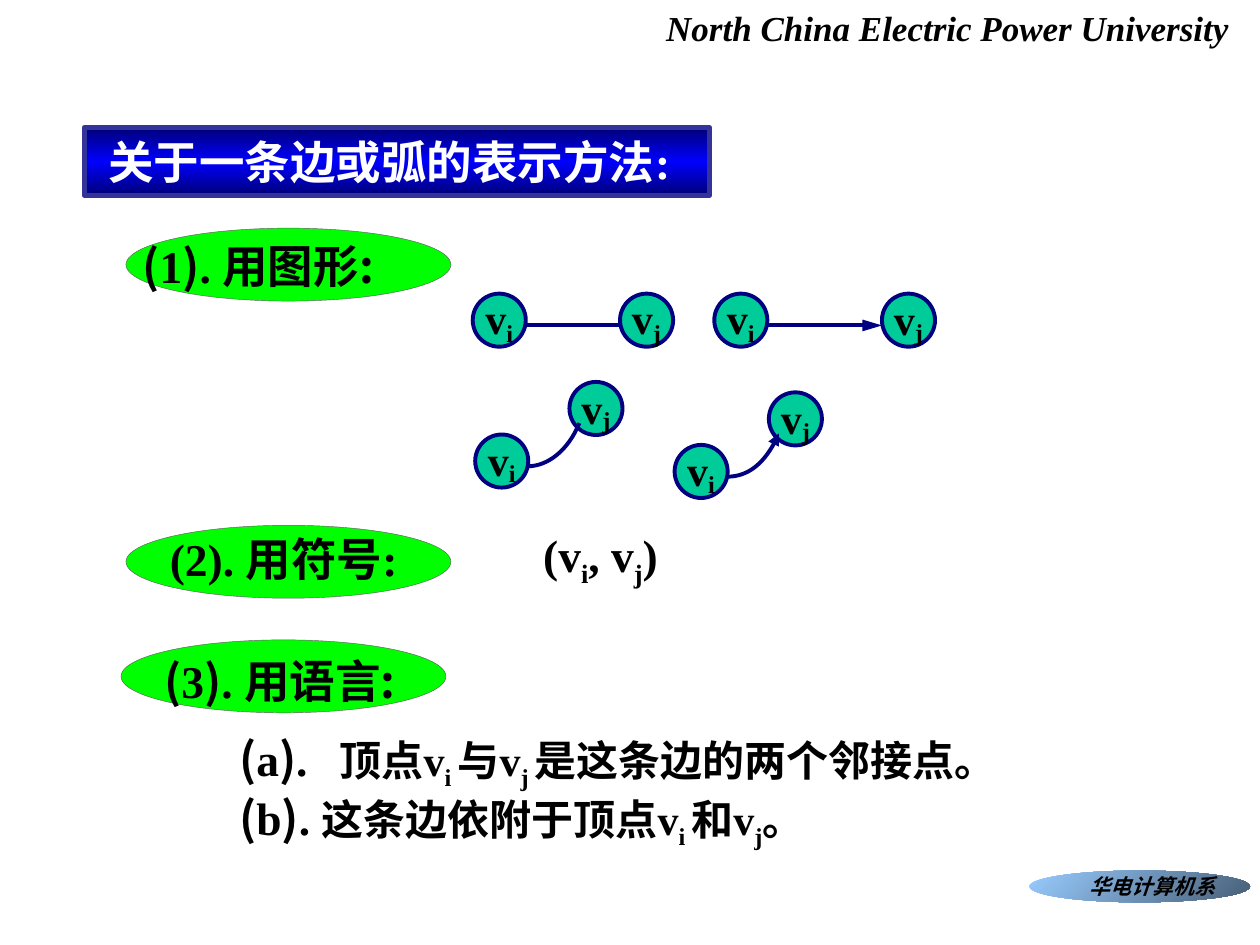
from copy import deepcopy

from lxml.etree import SubElement
from pptx import Presentation
from pptx.dml.color import RGBColor
from pptx.enum.shapes import MSO_CONNECTOR as Connector, MSO_SHAPE as Shape
from pptx.enum.text import MSO_ANCHOR as Anchor, MSO_AUTO_SIZE as AutoSize, PP_ALIGN as Align
from pptx.oxml.ns import qn
from pptx.util import Cm, Pt

BLACK = RGBColor(0, 0, 0)
WHITE = RGBColor(255, 255, 255)
NAVY = RGBColor(0, 0, 0x80)
TEAL = RGBColor(0, 0xCC, 0x99)
GREEN = RGBColor(0, 0xFF, 0)
GRAY = RGBColor(0x5F, 0x5F, 0x5F)
INDIGO = RGBColor(0x33, 0x33, 0x99)
DEEP_BLUE = RGBColor(0, 0, 0x76)
BLUE = RGBColor(0, 0, 0xFF)
SKY = RGBColor(0x99, 0xCC, 0xFF)
SLATE = RGBColor(0x47, 0x5E, 0x76)

LATIN = "Times New Roman"
HAN = "Noto Sans CJK SC"
VERTEX_SIZE = 1.07


def add_run(paragraph, text, size=26, font=LATIN, color=BLACK, italic=False, baseline=0):
    run = paragraph.add_run()
    run.text = text
    run.font.size = Pt(size)
    run.font.name = font
    run.font.bold = True
    run.font.italic = italic
    run.font.color.rgb = color
    properties = run._r.get_or_add_rPr()
    SubElement(properties, qn("a:ea")).set("typeface", HAN)
    if baseline:
        properties.set("baseline", str(baseline * 1000))


def han(text, **style):
    return text, {"font": HAN, **style}


def numbered(mark, gap=" "):
    return [han("("), (mark, {}), han(")"), ("." + gap, {})]


def vertex_name(index, size=24, baseline=-25):
    return [("v", {"size": size}), (index, {"size": size, "baseline": baseline})]


class GraphSlide:
    def __init__(self, presentation):
        self.slide = presentation.slides.add_slide(presentation.slide_layouts[5])
        self.shapes = self.slide.shapes

    def fill_text(self, shape, runs, align=Align.LEFT, wrap=True, tab=None):
        frame = shape.text_frame
        frame.word_wrap = wrap
        frame.auto_size = AutoSize.NONE
        paragraph = frame.paragraphs[0]
        paragraph.alignment = align
        if tab:
            stops = SubElement(paragraph._p.get_or_add_pPr(), qn("a:tabLst"))
            SubElement(stops, qn("a:tab"), pos=str(Cm(tab)), algn="l")
        for text, style in runs:
            add_run(paragraph, text, **style)
        return frame

    def gradient(self, shape, colors, angle):
        shape.fill.gradient()
        shape.fill.gradient_angle = angle
        stop_list = shape._element.spPr.find(qn("a:gradFill")).find(qn("a:gsLst"))
        while len(stop_list) < len(colors):
            stop_list.append(deepcopy(stop_list[0]))
        for index, (stop, color) in enumerate(zip(shape.fill.gradient_stops, colors)):
            stop.position = index / (len(colors) - 1)
            stop.color.rgb = color

    def outline(self, shape, color, width, arrow=None):
        shape.line.color.rgb = color
        shape.line.width = Pt(width)
        if arrow:
            line = shape._element.spPr.find(qn("a:ln"))
            SubElement(line, qn("a:tailEnd"), type="triangle", w="med", len=arrow)

    def title(self, text, left, top, width, height):
        heading = self.shapes.title
        heading.left, heading.top = Cm(left), Cm(top)
        heading.width, heading.height = Cm(width), Cm(height)
        self.gradient(heading, [DEEP_BLUE, BLUE, DEEP_BLUE], 270)
        self.outline(heading, INDIGO, 3)
        frame = self.fill_text(heading, [(text, {"color": WHITE})])
        frame.vertical_anchor = Anchor.TOP
        frame.margin_left = Cm(0.48)

    def text(self, runs, left, top, width, height, **layout):
        box = self.shapes.add_textbox(Cm(left), Cm(top), Cm(width), Cm(height))
        return self.fill_text(box, runs, **layout)

    def ellipse(self, left, top, width, height):
        oval = self.shapes.add_shape(Shape.OVAL, Cm(left), Cm(top), Cm(width), Cm(height))
        oval.shadow.inherit = False
        return oval

    def section(self, left, top):
        oval = self.ellipse(left, top, 6.55, 1.47)
        oval.fill.solid()
        oval.fill.fore_color.rgb = GREEN
        self.outline(oval, GRAY, 0.25)

    def vertex(self, index, left, top, baseline):
        circle = self.ellipse(left, top, VERTEX_SIZE, VERTEX_SIZE)
        circle.fill.solid()
        circle.fill.fore_color.rgb = TEAL
        self.outline(circle, NAVY, 2.25)
        name = vertex_name(index, baseline=baseline)
        frame = self.fill_text(circle, name, align=Align.CENTER, wrap=False)
        frame.vertical_anchor = Anchor.MIDDLE

    def edge(self, start, end, y, arrow=None):
        line = self.shapes.add_connector(Connector.STRAIGHT, Cm(start), Cm(y), Cm(end), Cm(y))
        self.outline(line, NAVY, 2.25, arrow)
        SubElement(line._element.spPr, qn("a:effectLst"))

    def curve(self, points, arrow=None):
        start, *rest = [(Cm(x), Cm(y)) for x, y in points]
        builder = self.shapes.build_freeform(*start)
        builder.add_line_segments(rest, close=False)
        arc = builder.convert_to_shape()
        segments = list(arc._element.iter(qn("a:lnTo")))
        bezier = SubElement(segments[0].getparent(), qn("a:cubicBezTo"))
        for segment in segments:
            bezier.append(segment[0])
            segment.getparent().remove(segment)
        arc.shadow.inherit = False
        arc.fill.background()
        self.outline(arc, NAVY, 2.25, arrow)


def main():
    presentation = Presentation()
    presentation.slide_width, presentation.slide_height = Cm(25.4), Cm(19.05)
    page = GraphSlide(presentation)

    university = [("North China Electric Power University", {"size": 20, "italic": True})]
    page.text(university, 13.18, 0, 11.86, 1.12, wrap=False)
    page.title("关于一条边或弧的表示方法:", 1.7, 2.57, 12.6, 1.37)

    page.section(2.54, 4.6)
    page.text(numbered("1") + [han("用图形:")], 2.62, 4.67, 6.27, 1.37)
    page.section(2.54, 10.59)
    page.text([("(2). 用符号:", {})], 2.95, 10.59, 5.54, 1.37, align=Align.CENTER)
    page.section(2.44, 12.9)
    page.text(numbered("3") + [han("用语言:")], 2.51, 13.03, 6.27, 1.37, align=Align.CENTER)

    page.edge(10.59, 12.7, 6.56)
    page.edge(15.45, 17.78, 6.56, arrow="lg")
    for index, left, baseline in [("i", 9.53, -18), ("j", 12.5, -18),
                                  ("i", 14.4, -20), ("j", 17.78, -14)]:
        page.vertex(index, left, 5.92, baseline)

    arc_points = [(10.64, 9.4), (11.05, 9.4), (11.46, 9.07), (11.68, 8.53)]
    for dx, dy, arrow in [(0, 0, None), (4.02, 0.21, "med")]:
        page.vertex("j", 11.48 + dx, 7.7 + dy, -14)
        page.vertex("i", 9.58 + dx, 8.76 + dy, -16)
        page.curve([(x + dx, y + dy) for x, y in arc_points], arrow)

    pair = [("(", {}), *vertex_name("i", 26), (", ", {}), *vertex_name("j", 26), (")", {})]
    page.text(pair, 10.7, 10.49, 4.3, 1.52)

    adjacency = [*numbered("a", "\t"), han("顶点", size=24), *vertex_name("i "),
                 han("与", size=24), *vertex_name("j "),
                 han("是这条边的两个邻接点。", size=24)]
    page.text(adjacency, 4.57, 14.61, 16.71, 1.5, tab=2.03)
    incidence = [*numbered("b"), han("这条边依附于顶点", size=24), *vertex_name("i "),
                 han("和", size=24), *vertex_name("j"), han("。", size=24)]
    page.text(incidence, 4.57, 15.8, 14.71, 1.5)

    badge = page.ellipse(20.75, 17.55, 4.45, 0.64)
    page.gradient(badge, [SKY, SLATE], 315)
    badge.line.fill.background()
    department = [han("华电计算机系", size=12, italic=True)]
    frame = page.text(department, 21.84, 17.6, 2.79, 0.51, align=Align.CENTER)
    frame.margin_left = frame.margin_right = frame.margin_top = frame.margin_bottom = 0

    presentation.save("out.pptx")


if __name__ == "__main__":
    main()
